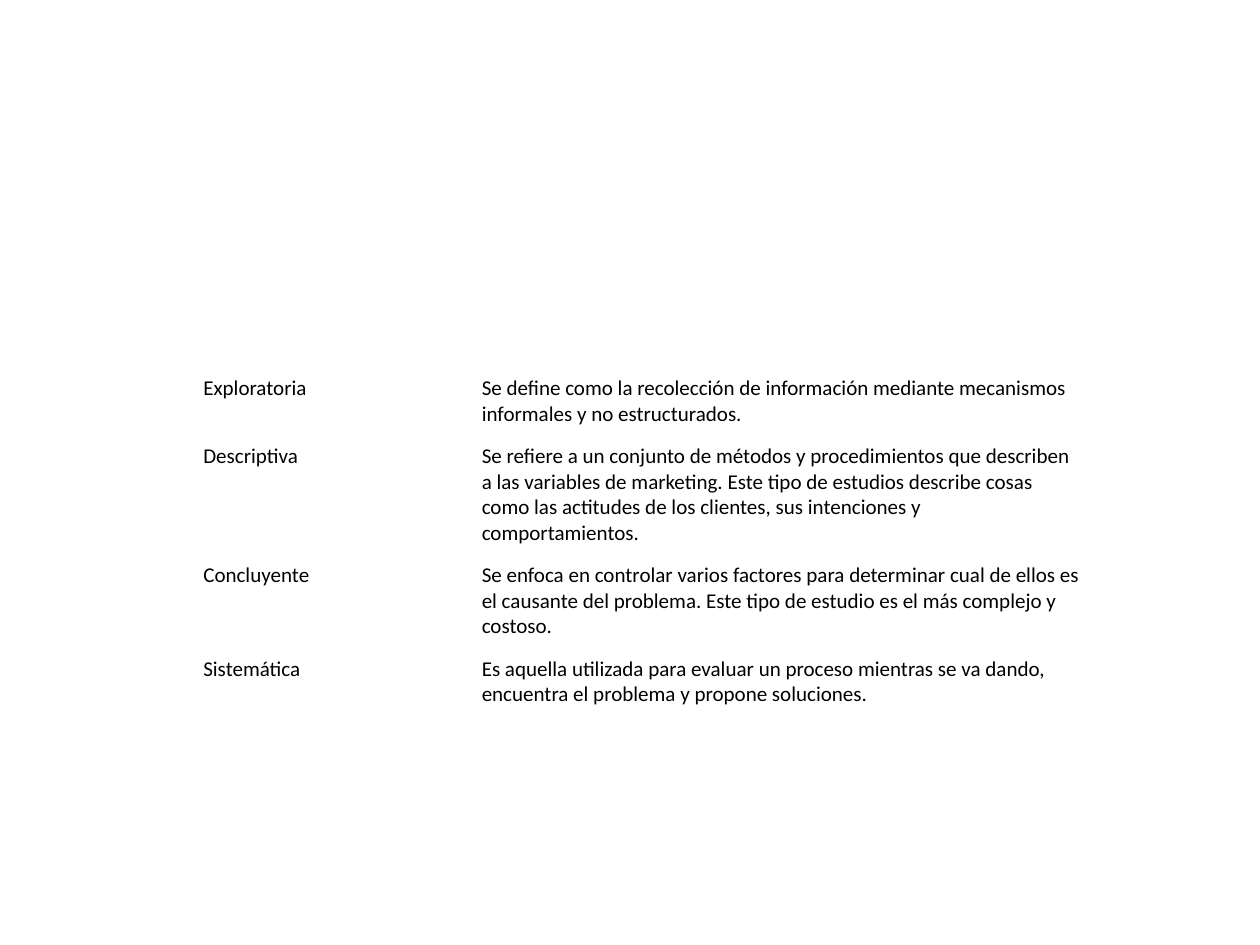
from dataclasses import dataclass

from pptx import Presentation
from pptx.dml.color import RGBColor
from pptx.util import Cm, Pt

BLANK_LAYOUT = 6


@dataclass(frozen=True)
class Theme:
    font: str = "Calibri"
    body_size: Pt = Pt(9)
    text_color: RGBColor = RGBColor(0, 0, 0)
    background: RGBColor = RGBColor(255, 255, 255)


RESEARCH_TYPES = [
    ("", ""),
    ("Exploratoria",
     "Se define como la recolección de información mediante mecanismos "
     "informales y no estructurados."),
    ("Descriptiva",
     "Se refiere a un conjunto de métodos y procedimientos que describen "
     "a las variables de marketing. Este tipo de estudios describe cosas "
     "como las actitudes de los clientes, sus intenciones y comportamientos."),
    ("Concluyente",
     "Se enfoca en controlar varios factores para determinar cual de ellos "
     "es el causante del problema. Este tipo de estudio es el más complejo "
     "y costoso."),
    ("Sistemática",
     "Es aquella utilizada para evaluar un proceso mientras se va dando, "
     "encuentra el problema y propone soluciones."),
]


class SlideBuilder:
    def __init__(self, slide, theme):
        self.slide = slide
        self.theme = theme
        background = slide.background.fill
        background.solid()
        background.fore_color.rgb = theme.background

    def add_plain_table(self, rows, left, top, column_widths, row_height):
        """Add an unfilled table whose rows grow with their text."""
        frame = self.slide.shapes.add_table(
            len(rows), len(column_widths), left, top,
            sum(column_widths), row_height * len(rows))
        table = frame.table
        table.first_row = False
        table.horz_banding = False
        for column, width in zip(table.columns, column_widths):
            column.width = width
        for row, texts in zip(table.rows, rows):
            row.height = row_height
            for cell, text in zip(row.cells, texts):
                self.fill_cell(cell, text)

    def fill_cell(self, cell, text):
        cell.fill.background()
        cell.text = text
        font = cell.text_frame.paragraphs[0].font
        font.name = self.theme.font
        font.size = self.theme.body_size
        font.color.rgb = self.theme.text_color


def main():
    presentation = Presentation()
    presentation.slide_width = Cm(19.05)
    presentation.slide_height = Cm(14.28)
    slide = presentation.slides.add_slide(
        presentation.slide_layouts[BLANK_LAYOUT])
    builder = SlideBuilder(slide, Theme())
    builder.add_plain_table(
        RESEARCH_TYPES, left=Cm(2.82), top=Cm(4.52),
        column_widths=[Cm(4.21), Cm(9.53)], row_height=Cm(1.03))
    presentation.save("out.pptx")


if __name__ == "__main__":
    main()
